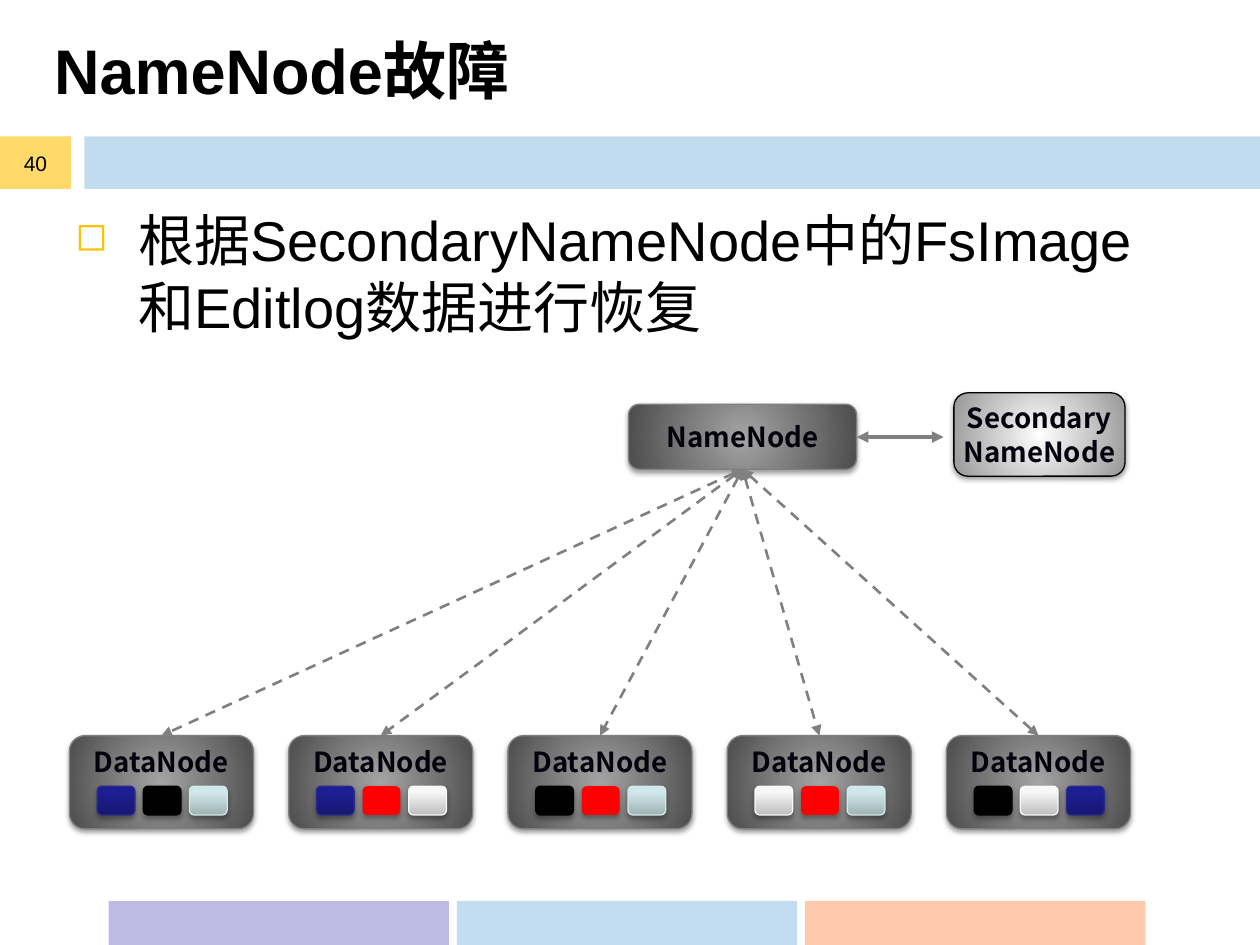
"""Build the slide on recovering from a NameNode failure in HDFS."""
import pptx
import pptx.dml.color
import pptx.enum.dml
import pptx.enum.shapes
import pptx.enum.text
import pptx.oxml
import pptx.oxml.ns
import pptx.util

Cm, Pt = pptx.util.Cm, pptx.util.Pt
RGB = pptx.dml.color.RGBColor.from_string
RECT = pptx.enum.shapes.MSO_SHAPE.RECTANGLE
ROUND = pptx.enum.shapes.MSO_SHAPE.ROUNDED_RECTANGLE
TOP, MIDDLE = pptx.enum.text.MSO_ANCHOR.TOP, pptx.enum.text.MSO_ANCHOR.MIDDLE
LEFT, CENTER = pptx.enum.text.PP_ALIGN.LEFT, pptx.enum.text.PP_ALIGN.CENTER
NS = pptx.oxml.ns.nsdecls("a")
RADIAL = '<a:path path="circle"><a:fillToRect l="50000" t="50000" r="50000" b="50000"/></a:path>'
UPWARD = '<a:lin ang="16200000" scaled="0"/>'

THEME = {
    "text": "000000", "node text": "01020B", "bullet": "FFC000", "link": "808080",
    "font": "Arial", "node font": "Noto Sans CJK SC",
    "title size": 36, "body size": 32, "node size": 15.8, "number size": 12,
    "violet": ([(0, "BFBAE4")], 100, None),
    "sky": ([(0, "C2DDF0")], 100, None),
    "peach": ([(0, "FF9966")], 53, None),
    "band": ([(0, "0070C0")], 24, None),
    "badge": ([(0, "FFC000")], 59, None),
    "node": ([(0, "A4A4A4"), (100, "4C4C4C")], RADIAL, "808080"),
    "secondary": ([(0, "FFFFFF"), (100, "979797")], RADIAL, "000000"),
    "blue": ([(0, "171771"), (80, "1E1E93"), (100, "1C1C96")], UPWARD, "2A2A89"),
    "pale": ([(0, "A0B3B5"), (80, "D0E8EB"), (100, "D1EAEC")], UPWARD, "D5E8EA"),
    "white": ([(0, "BEBEBE"), (80, "F7F7F7"), (100, "F8F8F8")], UPWARD, "F9F9F9"),
    "black": ([(0, "000000")], 100, "000000"),
    "red": ([(0, "FF0000")], 100, None),
}


def add_box(shapes, kind, place, style, shadow=None):
    """Add a shape in a theme style; shadow is (opacity, distance)."""
    box = shapes.add_shape(kind, *map(Cm, place))
    stops, finish, edge = THEME[style]
    if len(stops) == 1:
        box.fill.solid()
        box.fill.fore_color.rgb = RGB(stops[0][1])
        if finish < 100:
            tint = box.fill._xPr.find(".//" + pptx.oxml.ns.qn("a:srgbClr"))
            tint.append(pptx.oxml.parse_xml(f'<a:alpha {NS} val="{finish * 1000}"/>'))
    else:
        box.fill.background()
        blank = box._element.spPr.find(pptx.oxml.ns.qn("a:noFill"))
        marks = "".join(f'<a:gs pos="{pos * 1000}"><a:srgbClr val="{color}"/></a:gs>' for pos, color in stops)
        blank.getparent().replace(blank, pptx.oxml.parse_xml(
            f'<a:gradFill {NS} rotWithShape="1"><a:gsLst>{marks}</a:gsLst>{finish}</a:gradFill>'))
    if edge:
        box.line.color.rgb = RGB(edge)
        box.line.width = Pt(0.75)
    else:
        box.line.fill.background()
    box.shadow.inherit = False
    if shadow:
        opacity, distance = shadow
        box._element.spPr.find(pptx.oxml.ns.qn("a:effectLst")).append(pptx.oxml.parse_xml(
            f'<a:outerShdw {NS} blurRad="{Pt(3.1)}" dist="{Pt(distance)}" dir="5400000" rotWithShape="0">'
            f'<a:srgbClr val="000000"><a:alpha val="{opacity * 1000}"/></a:srgbClr></a:outerShdw>'))
    return box


def write(box, text, size, color="text", font="font", bold=False, anchor=MIDDLE, align=CENTER, wrap=True):
    """Set and format the text of a box."""
    frame = box.text_frame
    frame.text = text
    frame.word_wrap = wrap
    frame.vertical_anchor = anchor
    for paragraph in frame.paragraphs:
        paragraph.alignment = align
        for run in paragraph.runs:
            run.font.size = Pt(THEME[size])
            run.font.name = THEME[font]
            run.font.bold = bold
            run.font.color.rgb = RGB(THEME[color])


deck = pptx.Presentation()
deck.slide_width, deck.slide_height = Cm(25.4), Cm(19.05)
slide = deck.slides.add_slide(deck.slide_layouts[6])
shapes = slide.shapes

for index, style in enumerate(("violet", "sky", "peach")):
    add_box(shapes, RECT, (2.19 + 7.02 * index, 18.16, 6.86, 0.89), style)
add_box(shapes, RECT, (1.7, 2.75, 23.7, 1.06), "band")
page_number = add_box(shapes, RECT, (0, 2.75, 1.43, 1.06), "badge")
write(page_number, "40", "number size")

title = shapes.add_textbox(Cm(0.84), Cm(-0.2), Cm(23.85), Cm(3.18))
write(title, "NameNode故障", "title size", bold=True, align=LEFT)

recovery = shapes.add_textbox(Cm(1.27), Cm(4.01), Cm(22.86), Cm(13))
write(recovery, "根据SecondaryNameNode中的FsImage和Editlog数据进行恢复", "body size", anchor=TOP, align=LEFT)
bullet = recovery.text_frame.paragraphs[0]._p.get_or_add_pPr()
bullet.set("marL", str(Cm(1.27)))
bullet.set("indent", str(Cm(-1.27)))
for setting in (f'<a:buClr {NS}><a:srgbClr val="{THEME["bullet"]}"/></a:buClr>',
                f'<a:buSzPct {NS} val="70000"/>',
                f'<a:buChar {NS} char="◻"/>'):
    bullet.append(pptx.oxml.parse_xml(setting))

node_text = {"size": "node size", "color": "node text", "font": "node font", "bold": True, "wrap": False}
name_node = add_box(shapes, ROUND, (12.67, 8.15, 4.6, 1.31), "node", (38, 1.6))
write(name_node, "NameNode", **node_text)
secondary = add_box(shapes, ROUND, (19.23, 7.92, 3.45, 1.68), "secondary", (38, 1.6))
write(secondary, "Secondary\nNameNode", **node_text)

replicas = [
    ("blue", "black", "pale"),
    ("blue", "red", "white"),
    ("black", "red", "pale"),
    ("white", "red", "pale"),
    ("black", "white", "blue"),
]
straight = pptx.enum.shapes.MSO_CONNECTOR.STRAIGHT
sync = shapes.add_connector(straight, Cm(17.27), Cm(8.81), Cm(19.02), Cm(8.81))
sync.line.width = Pt(2.25)
links = [sync]
for index, blocks in enumerate(replicas):
    left = 1.4 + 4.42 * index
    group = shapes.add_group_shape()
    data_node = add_box(group.shapes, ROUND, (left, 14.83, 3.71, 1.88), "node", (38, 1.6))
    write(data_node, "DataNode", anchor=TOP, **node_text)
    data_node.text_frame.margin_top = data_node.text_frame.margin_bottom = Cm(0.1)
    for slot, style in enumerate(blocks):
        add_box(group.shapes, ROUND, (left + 0.56 + 0.93 * slot, 15.85, 0.76, 0.58), style, (35, 1.8))
    heartbeat = shapes.add_connector(straight, 0, 0, 0, 0)
    heartbeat.begin_connect(name_node, 2)
    heartbeat.end_connect(data_node, 0)
    heartbeat.line.width = Pt(1.5)
    heartbeat.line.dash_style = pptx.enum.dml.MSO_LINE.DASH
    links.append(heartbeat)

for link in links:
    link.line.color.rgb = RGB(THEME["link"])
    for end in ("headEnd", "tailEnd"):
        link.line._get_or_add_ln().append(pptx.oxml.parse_xml(f'<a:{end} {NS} type="triangle"/>'))
    link._element.spPr.append(pptx.oxml.parse_xml(f'<a:effectLst {NS}/>'))

deck.save("out.pptx")
